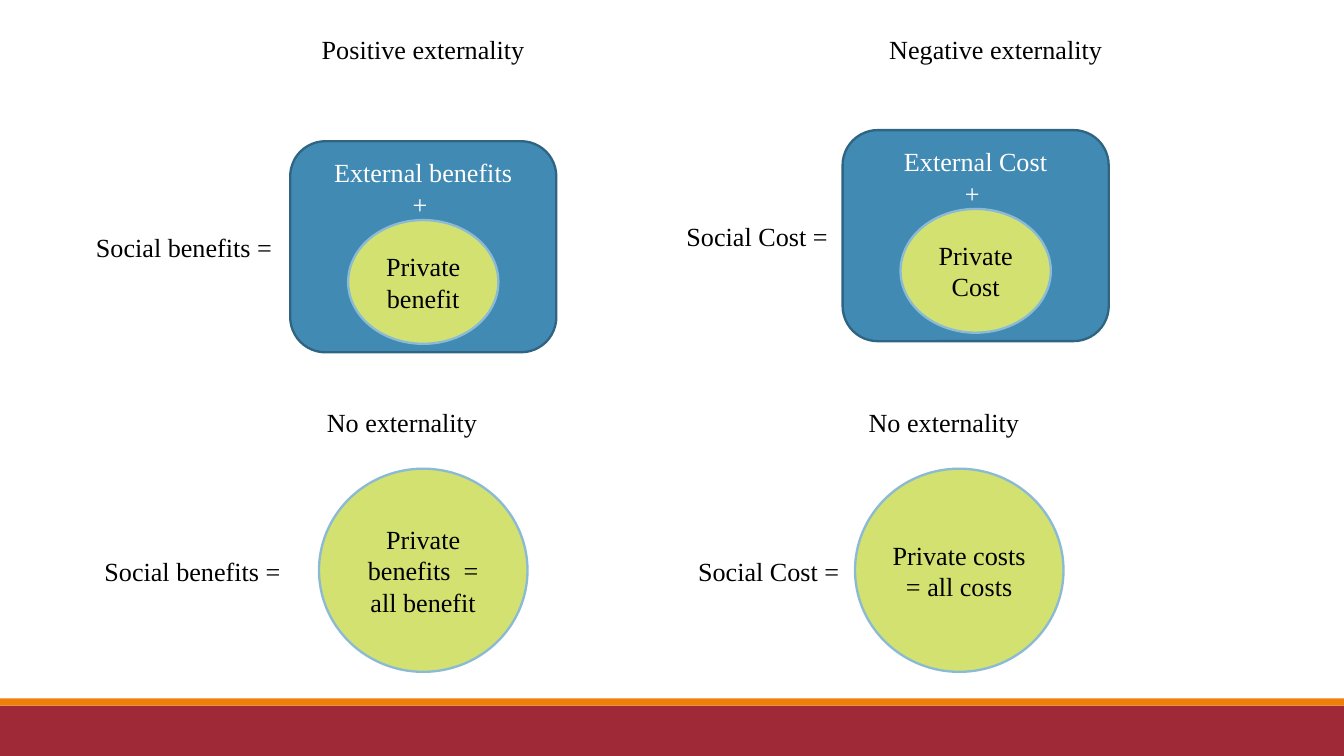
import pptx
import pptx.dml.color
import pptx.enum.shapes
import pptx.enum.text
import pptx.util

Cm = pptx.util.Cm
Shape = pptx.enum.shapes.MSO_SHAPE
Anchor = pptx.enum.text.MSO_ANCHOR

# Lengths are in centimetres; labels are (text, centre x, top).
LABELS = [
    ("Positive externality", 8.0, 0.53),
    ("Negative externality", 18.82, 0.53),
    ("Social benefits =", 3.48, 4.27),
    ("Social Cost =", 14.31, 4.06),
    ("No externality", 7.6, 7.59),
    ("No externality", 17.84, 7.59),
    ("Social benefits =", 3.64, 10.39),
    ("Social Cost =", 14.53, 10.39),
]
# (outer lines, inner text, centre x, top)
EXTERNALITIES = [
    (["External benefits", "+ "], "Private benefit", 8.0, 2.67),
    (["External Cost", "+ "], "Private Cost", 18.44, 2.46),
]
# (text, centre x)
PRIVATE_ONLY = [
    ("Private benefits  = all benefit", 8.0),
    ("Private costs = all costs", 18.13),
]
# (top, height, colour name)
BANDS = [(13.34, 0.95, "red"), (13.2, 0.14, "orange")]

SLIDE_SIZE = (25.4, 14.29)
LABEL_SIZE = (6.2, 0.74)
OUTER_SIZE = (5.03, 3.99)
INNER_SIZE = (2.84, 2.34)
INNER_DROP = 1.49
CIRCLE_SIZE = (3.94, 3.84)
CIRCLE_TOP = 8.86

THEME = {
    "font": "Times New Roman",
    "size": 14,
    "line_width": 1.25,
    "inset": 0.1,
    "black": "000000",
    "white": "FFFFFF",
    "red": "9F2936",
    "orange": "F07F09",
    "blue": "418AB3",
    "dark blue": "2F6583",
    "green": "D3E171",
    "light blue": "8ABAD4",
}


def color(name):
    return pptx.dml.color.RGBColor.from_string(THEME[name])


def box(center, top, size):
    """Return left, top, width and height of a box centred on a given x."""
    width, height = size
    return Cm(center - width / 2), Cm(top), Cm(width), Cm(height)


def write(shape, lines, ink="black", anchor=Anchor.MIDDLE):
    frame = shape.text_frame
    frame.word_wrap = True
    frame.vertical_anchor = anchor
    frame.margin_left = frame.margin_right = Cm(THEME["inset"])
    frame.margin_top = frame.margin_bottom = Cm(THEME["inset"])
    frame.text = "\n".join(lines)
    for paragraph in frame.paragraphs:
        paragraph.alignment = pptx.enum.text.PP_ALIGN.CENTER
        for run in paragraph.runs:
            run.font.name = THEME["font"]
            run.font.size = pptx.util.Pt(THEME["size"])
            run.font.color.rgb = color(ink)


def add_filled(slide, kind, place, fill, line=None):
    shape = slide.shapes.add_shape(kind, *place)
    shape.shadow.inherit = False
    shape.fill.solid()
    shape.fill.fore_color.rgb = color(fill)
    if line:
        shape.line.color.rgb = color(line)
        shape.line.width = pptx.util.Pt(THEME["line_width"])
    else:
        shape.line.fill.background()
    return shape


def add_private(slide, text, place):
    ellipse = add_filled(slide, Shape.OVAL, place, "green", "light blue")
    write(ellipse, [text])


def main():
    presentation = pptx.Presentation()
    presentation.slide_width, presentation.slide_height = map(Cm, SLIDE_SIZE)
    slide = presentation.slides.add_slide(presentation.slide_layouts[6])

    for top, height, fill in BANDS:
        place = box(SLIDE_SIZE[0] / 2, top, (SLIDE_SIZE[0], height))
        add_filled(slide, Shape.RECTANGLE, place, fill)

    for lines, private, center, top in EXTERNALITIES:
        outer = add_filled(slide, Shape.ROUNDED_RECTANGLE,
                           box(center, top, OUTER_SIZE), "blue", "dark blue")
        write(outer, lines, ink="white", anchor=Anchor.TOP)
        add_private(slide, private, box(center, top + INNER_DROP, INNER_SIZE))

    for text, center in PRIVATE_ONLY:
        add_private(slide, text, box(center, CIRCLE_TOP, CIRCLE_SIZE))

    for text, center, top in LABELS:
        label = slide.shapes.add_textbox(*box(center, top, LABEL_SIZE))
        write(label, [text], anchor=Anchor.TOP)

    presentation.save("out.pptx")


if __name__ == "__main__":
    main()
